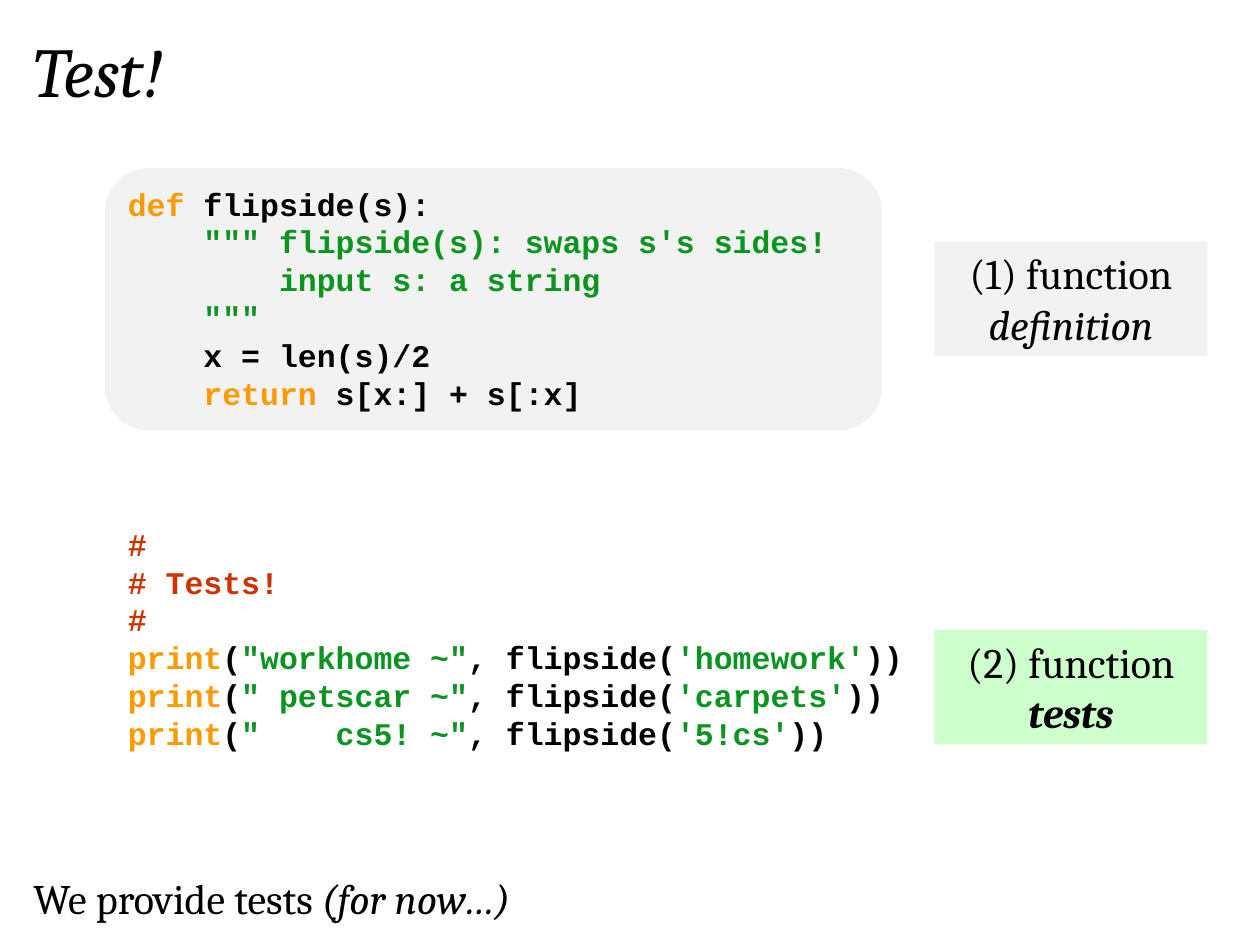
"""Build a slide that shows a Python function beside its tests."""
from pptx import Presentation
from pptx.dml.color import RGBColor
from pptx.enum.shapes import MSO_SHAPE as Shape
from pptx.enum.text import MSO_ANCHOR as Anchor, PP_ALIGN as Align
from pptx.util import Inches, Pt

BLACK = RGBColor(0x00, 0x00, 0x00)
ORANGE = RGBColor(0xFF, 0x99, 0x00)
GREEN = RGBColor(0x0B, 0x95, 0x20)
RED = RGBColor(0xCC, 0x33, 0x00)
GREY = RGBColor(0xF2, 0xF2, 0xF2)
MINT = RGBColor(0xCC, 0xFF, 0xCC)

COLUMNS, ROWS = 120, 90
CELL = Inches(10) / COLUMNS
CODE_INDENT = Inches(0.6)
CODE_LINE = Pt(21.6)

presentation = Presentation()
presentation.slide_width = Inches(10)
presentation.slide_height = Inches(7.5)
slide = presentation.slides.add_slide(presentation.slide_layouts[6])


def add_box(left, top, width, height, fill=None, outline=Shape.RECTANGLE):
    area = [int(cells * CELL) for cells in (left, top, width, height)]
    if fill is None:
        shape = slide.shapes.add_textbox(*area)
    else:
        shape = slide.shapes.add_shape(outline, *area)
        shape.shadow.inherit = False
        shape.fill.solid()
        shape.fill.fore_color.rgb = fill
        shape.line.fill.background()
    shape.text_frame.word_wrap = True
    shape.text_frame.vertical_anchor = Anchor.TOP
    return shape


def add_run(paragraph, text, size, font="Cambria", color=BLACK, bold=False, italic=False):
    run = paragraph.add_run()
    run.text = text
    run.font.name = font
    run.font.size = Pt(size)
    run.font.color.rgb = color
    run.font.bold = bold
    run.font.italic = italic


add_box(10, 16, 74, 25, GREY, Shape.ROUNDED_RECTANGLE)

title = add_box(2, 2, 46, 9.2)
add_run(title.text_frame.paragraphs[0], "Test!", 40, italic=True)

definition = [
    (0, [("def ", ORANGE), ("flipside(s):", BLACK)]),
    (1, [("\"\"\" flipside(s): swaps s's sides!", GREEN)]),
    (2, [("input s: a string", GREEN)]),
    (1, [('"""', GREEN)]),
    (1, [("x = len(s)/2", BLACK)]),
    (1, [("return ", ORANGE), ("s[x:] + s[:x]", BLACK)]),
]
heading = [(0, [(text, RED)]) for text in ("#", "# Tests!", "#")]
tests = [
    (0, [("print", ORANGE), ("(", BLACK), (label, GREEN),
         (", flipside(", BLACK), (argument, GREEN), ("))", BLACK)])
    for label, argument in (
        ('"workhome ~"', "'homework'"),
        ('" petscar ~"', "'carpets'"),
        ('"    cs5! ~"', "'5!cs'"),
    )
]

code = add_box(11, 17, 95, 55.7).text_frame
for number, (level, runs) in enumerate(definition + heading + tests):
    paragraph = code.add_paragraph() if number else code.paragraphs[0]
    paragraph.line_spacing = CODE_LINE
    paragraph._p.get_or_add_pPr().set("marL", str(level * CODE_INDENT))
    if number == len(definition):
        paragraph.space_before = 3 * CODE_LINE
    for text, color in runs:
        add_run(paragraph, text, 18, "Courier New", color, bold=True)

for top, fill, lead, word, bold in (
    (23, GREY, "(1) function ", "definition", False),
    (60, MINT, "(2) function ", "tests", True),
):
    label = add_box(89, top, 26, 10.9, fill)
    paragraph = label.text_frame.paragraphs[0]
    paragraph.alignment = Align.CENTER
    add_run(paragraph, lead, 24)
    add_run(paragraph, word, 24, bold=bold, italic=True)

footer = add_box(2, 82.5, 62, 6).text_frame.paragraphs[0]
add_run(footer, "We provide tests ", 24)
add_run(footer, "(for now…)", 24, italic=True)

presentation.save("out.pptx")
